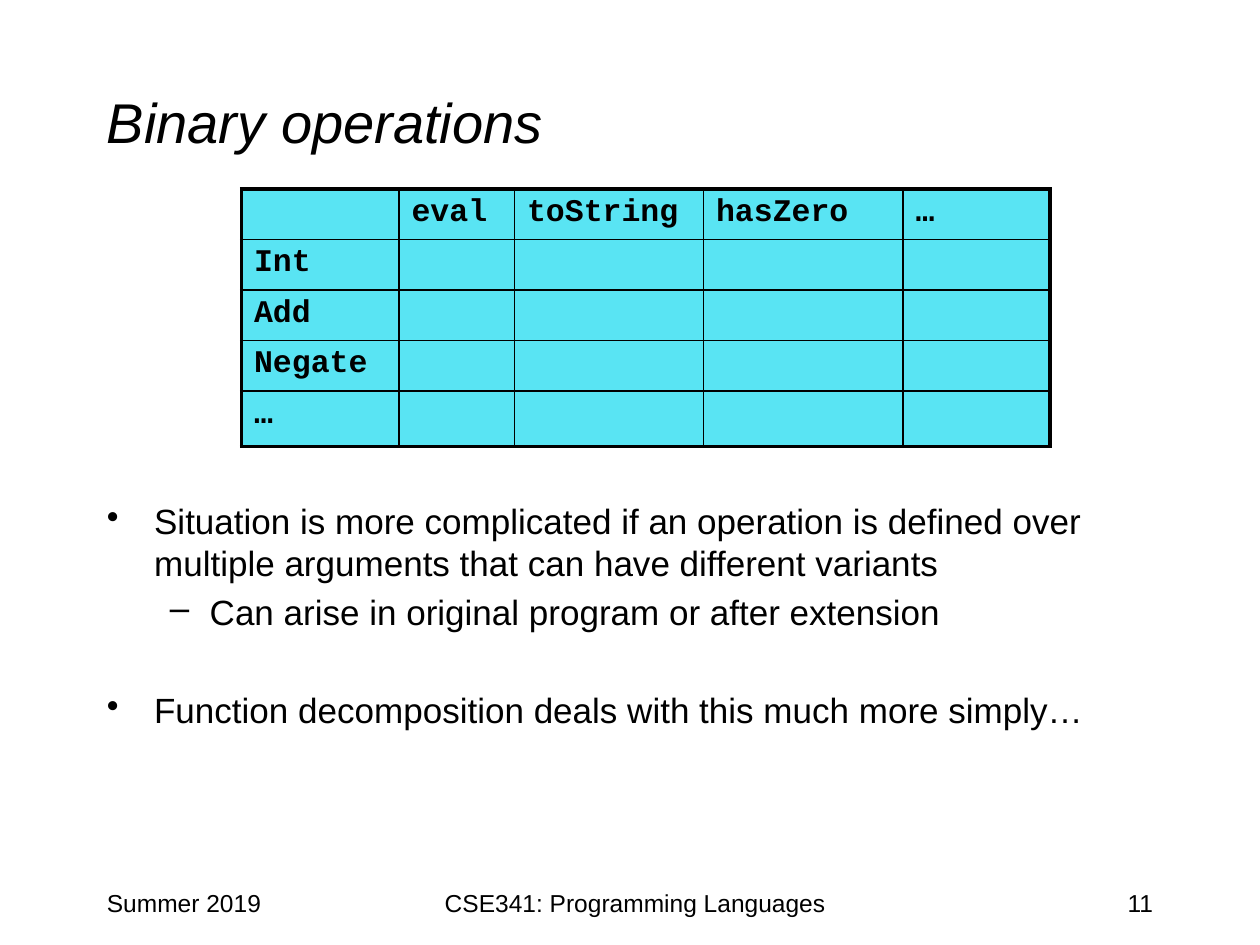
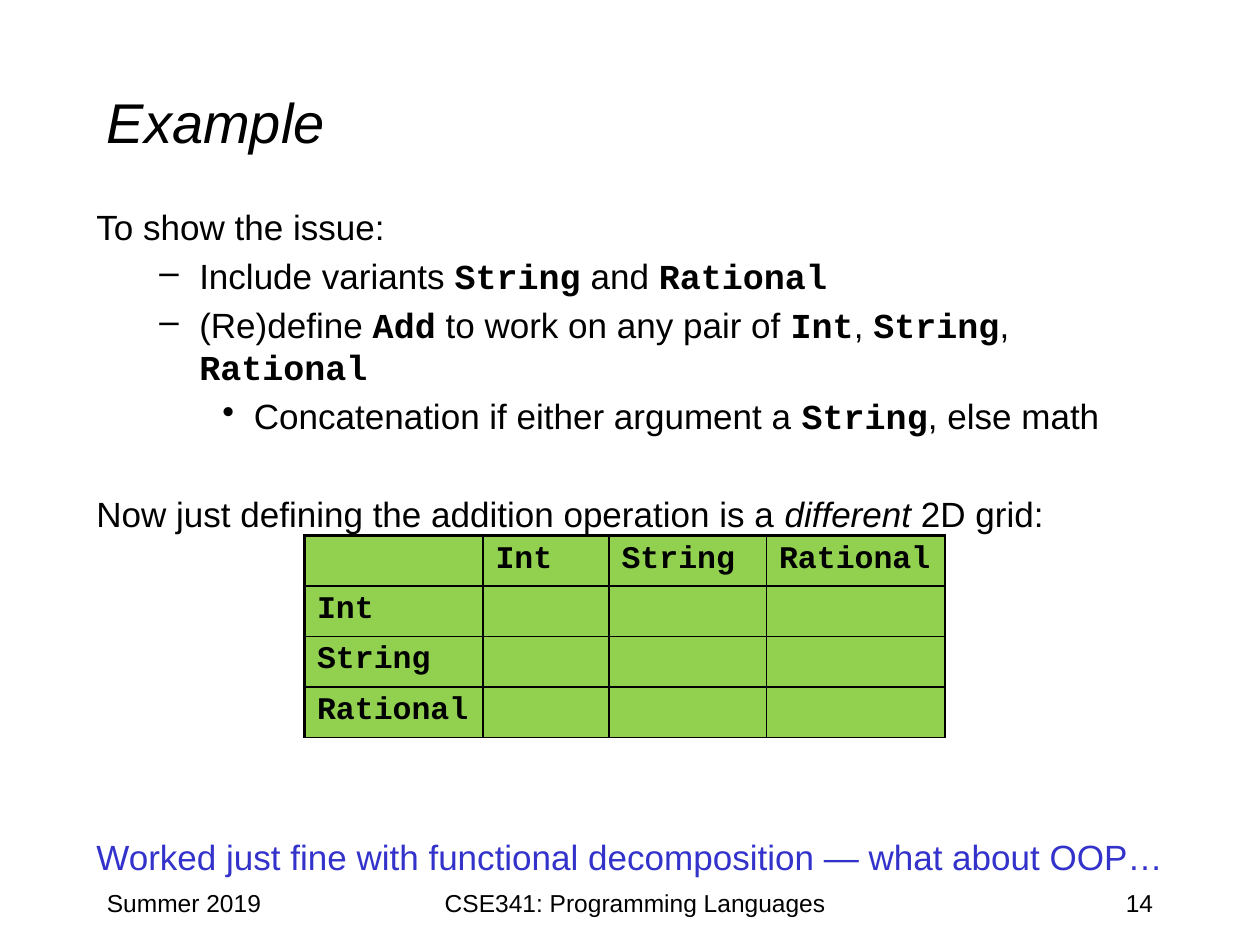
from dataclasses import dataclass
from typing import NamedTuple

from lxml import etree
from pptx import Presentation
from pptx.dml.color import RGBColor
from pptx.enum.text import MSO_ANCHOR, PP_ALIGN
from pptx.oxml.ns import qn
from pptx.util import Emu, Pt

LEFT, CENTER, RIGHT = PP_ALIGN.LEFT, PP_ALIGN.CENTER, PP_ALIGN.RIGHT
TOP, MIDDLE = MSO_ANCHOR.TOP, MSO_ANCHOR.MIDDLE
EMU_PER_PX = 7620
BLANK_LAYOUT = 6

COLORS = {
    "background": "FFFFFF",
    "text": "000000",
    "conclusion": "3333CC",
    "operations": "59E4F3",
    "addition": "92D050",
}
FORMATS = {
    "title": {"name": "Arial", "size": Pt(32), "italic": True},
    "body": {"name": "Arial", "size": Pt(20)},
    "emphasis": {"name": "Arial", "size": Pt(20), "italic": True},
    "code": {"name": "Courier New", "size": Pt(20), "bold": True},
    "cell": {"name": "Courier New", "size": Pt(18), "bold": True},
    "footer": {"name": "Arial", "size": Pt(14)},
}
THIN, THICK = Pt(1), Pt(2.25)
LINE_GAP = 4
LINE_PITCH = 28


class Box(NamedTuple):
    left: int
    top: int
    width: int
    height: int


class Run(NamedTuple):
    text: str
    style: str = "body"
    color: str = "text"


class Level(NamedTuple):
    depth: int
    margin: int
    hanging: int
    bullet: str


PLAIN = Level(0, 0, 0, "")
BULLET = Level(0, 45, 45, "•")
DASH = Level(1, 98, 38, "–")
SUB_BULLET = Level(2, 150, 30, "•")


@dataclass
class Line:
    runs: list[Run]
    level: Level = PLAIN
    lines_skipped: int = 0
    align: PP_ALIGN = LEFT


@dataclass
class Grid:
    left: int
    top: int
    columns: list[int]
    rows: list[int]
    column_names: list[str]
    row_names: list[str]
    fill: str
    closing_edge: int


@dataclass
class SlideContent:
    title: str
    number: int
    body_box: Box
    body: list[Line]
    grid: Grid


TITLE_BOX = Box(90, 40, 1020, 150)
DATE_BOX = Box(90, 840, 250, 60)
COURSE_BOX = Box(380, 840, 450, 60)
NUMBER_BOX = Box(860, 840, 250, 60)


def px(length: int) -> Emu:
    return Emu(length * EMU_PER_PX)


def rgb(color: str) -> RGBColor:
    return RGBColor.from_string(COLORS[color])


def add_run(paragraph, content: Run) -> None:
    run = paragraph.add_run()
    run.text = content.text
    for attribute, value in FORMATS[content.style].items():
        setattr(run.font, attribute, value)
    run.font.color.rgb = rgb(content.color)


def apply_level(paragraph, level: Level) -> None:
    paragraph.level = level.depth
    properties = paragraph._p.get_or_add_pPr()
    properties.set("marL", str(px(level.margin)))
    properties.set("indent", str(px(-level.hanging)))
    etree.SubElement(properties, qn("a:buChar"), char=level.bullet)


def add_text(slide, box: Box, lines: list[Line], anchor: MSO_ANCHOR = TOP) -> None:
    frame = slide.shapes.add_textbox(*map(px, box)).text_frame
    frame.word_wrap = True
    frame.vertical_anchor = anchor
    for index, line in enumerate(lines):
        paragraph = frame.add_paragraph() if index else frame.paragraphs[0]
        if line.level.bullet:
            apply_level(paragraph, line.level)
        if index:
            paragraph.space_before = Pt(LINE_GAP + line.lines_skipped * LINE_PITCH)
        paragraph.alignment = line.align
        for run in line.runs:
            add_run(paragraph, run)


def add_border(cell, side: str, width: int) -> None:
    properties = cell._tc.get_or_add_tcPr()
    border = etree.SubElement(properties, qn(f"a:ln{side}"), w=str(width))
    fill = etree.SubElement(border, qn("a:solidFill"))
    etree.SubElement(fill, qn("a:srgbClr"), val=COLORS["text"])


def fill_cell(cell, text: str) -> None:
    paragraph = cell.text_frame.paragraphs[0]
    if text:
        add_run(paragraph, Run(text, "cell"))
    else:
        size = str(int(FORMATS["cell"]["size"].pt * 100))
        end = etree.SubElement(paragraph._p, qn("a:endParaRPr"), sz=size)
        etree.SubElement(end, qn("a:latin"), typeface=FORMATS["cell"]["name"])


def add_grid(slide, grid: Grid) -> None:
    row_count, column_count = len(grid.rows), len(grid.columns)
    box = Box(grid.left, grid.top, sum(grid.columns), sum(grid.rows))
    table = slide.shapes.add_table(row_count, column_count, *map(px, box)).table
    table.first_row = False
    table.horz_banding = False
    for column, width in zip(table.columns, grid.columns):
        column.width = px(width)
    for row, height in zip(table.rows, grid.rows):
        row.height = px(height)
    for row in range(row_count):
        for column in range(column_count):
            cell = table.cell(row, column)
            borders = {
                "L": THIN if column else THICK,
                "R": grid.closing_edge if column == column_count - 1 else THIN,
                "T": THIN if row else THICK,
                "B": grid.closing_edge if row == row_count - 1 else THIN,
            }
            for side, width in borders.items():
                add_border(cell, side, width)
            cell.fill.solid()
            cell.fill.fore_color.rgb = rgb(grid.fill)
            text = ""
            if row == 0 and column:
                text = grid.column_names[column - 1]
            elif row and column == 0:
                text = grid.row_names[row - 1]
            fill_cell(cell, text)


def add_slide(presentation, content: SlideContent) -> None:
    slide = presentation.slides.add_slide(presentation.slide_layouts[BLANK_LAYOUT])
    slide.background.fill.solid()
    slide.background.fill.fore_color.rgb = rgb("background")
    add_text(slide, TITLE_BOX, [Line([Run(content.title, "title")])], MIDDLE)
    add_text(slide, content.body_box, content.body)
    footers = [
        (DATE_BOX, "Summer 2019", LEFT),
        (NUMBER_BOX, str(content.number), RIGHT),
        (COURSE_BOX, "CSE341: Programming Languages", CENTER),
    ]
    for box, text, align in footers:
        add_text(slide, box, [Line([Run(text, "footer")], align=align)])
    add_grid(slide, content.grid)


INT, STRING, RATIONAL = (Run(name, "code") for name in ("Int", "String", "Rational"))
COMMA = Run(", ")

SLIDES = [
    SlideContent(
        title="Binary operations",
        number=11,
        body_box=Box(90, 470, 1020, 260),
        body=[
            Line([Run("Situation is more complicated if an operation is defined over "
                      "multiple arguments that can have different variants")], BULLET),
            Line([Run("Can arise in original program or after extension")], DASH),
            Line([Run("Function decomposition deals with this much more simply…")],
                 BULLET, lines_skipped=1),
        ],
        grid=Grid(
            left=230,
            top=180,
            columns=[150, 110, 180, 190, 140],
            rows=[46] * 4 + [53],
            column_names=["eval", "toString", "hasZero", "…"],
            row_names=["Int", "Add", "Negate", "…"],
            fill="operations",
            closing_edge=THICK,
        ),
    ),
    SlideContent(
        title="Example",
        number=14,
        body_box=Box(80, 190, 1060, 590),
        body=[
            Line([Run("To show the issue:")]),
            Line([Run("Include variants "), STRING, Run(" and "), RATIONAL], DASH),
            Line([Run("(Re)define "), Run("Add", "code"),
                  Run(" to work on any pair of "),
                  INT, COMMA, STRING, COMMA, RATIONAL], DASH),
            Line([Run("Concatenation if either argument a "), STRING,
                  Run(", else math")], SUB_BULLET),
            Line([Run("Now just defining the addition operation is a "),
                  Run("different", "emphasis"), Run(" 2D grid:")], lines_skipped=1),
            Line([Run("Worked just fine with functional decomposition — "
                      "what about OOP…", color="conclusion")], lines_skipped=6),
        ],
        grid=Grid(
            left=290,
            top=510,
            columns=[170, 120, 150, 170],
            rows=[46] * 4,
            column_names=["Int", "String", "Rational"],
            row_names=["Int", "String", "Rational"],
            fill="addition",
            closing_edge=THIN,
        ),
    ),
]


def main() -> None:
    presentation = Presentation()
    presentation.slide_width = px(1200)
    presentation.slide_height = px(900)
    for content in SLIDES:
        add_slide(presentation, content)
    presentation.save("out.pptx")


if __name__ == "__main__":
    main()
